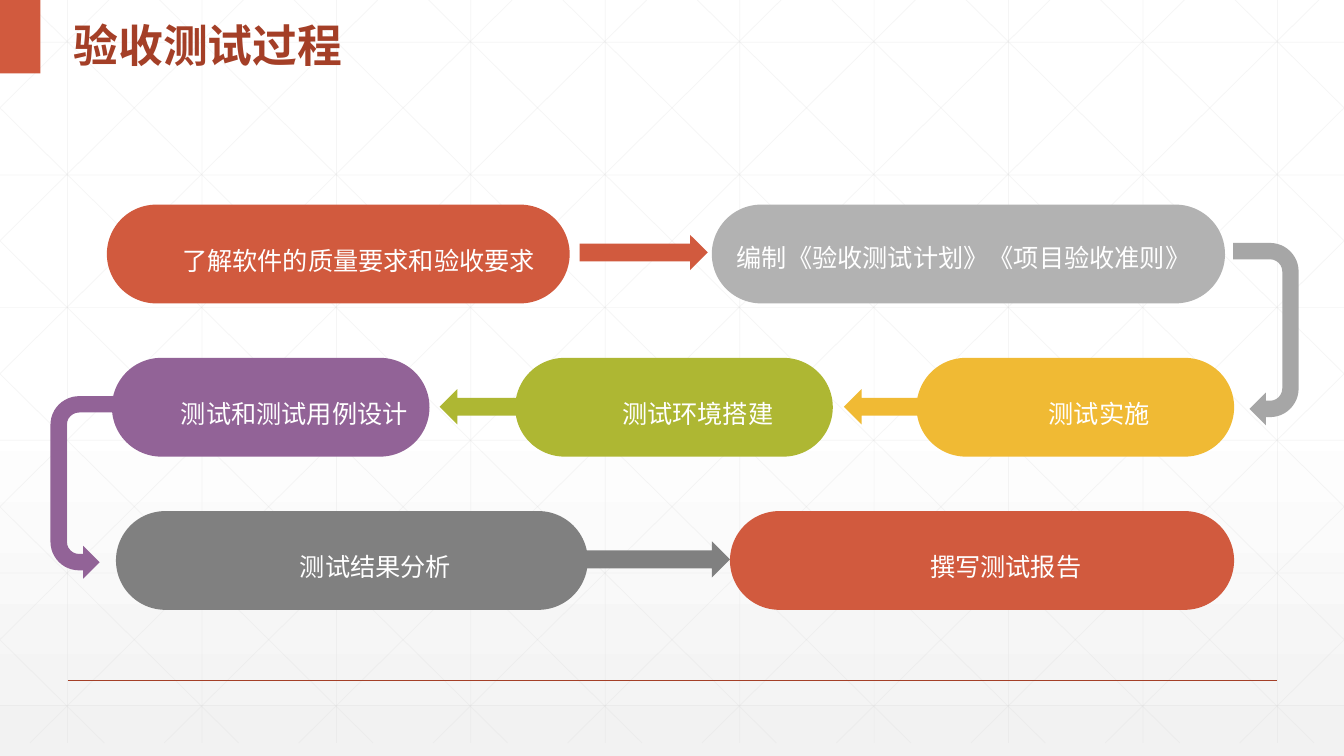
"""Builds the slide that shows the acceptance testing process as a flow of pills and arrows."""
import pptx
import pptx.util
import pptx.dml.color
import pptx.enum.shapes
import pptx.enum.text
import pptx.oxml.ns
from lxml import etree

Inches = pptx.util.Inches
Pt = pptx.util.Pt
SHAPE = pptx.enum.shapes.MSO_SHAPE
ALIGN = pptx.enum.text.PP_ALIGN
MIDDLE = pptx.enum.text.MSO_ANCHOR.MIDDLE

WIDTH, HEIGHT = 13.33, 7.5
FONT = "Arial"
RED, DARK_RED, SILVER, GREY, DARK_GREY = "D15A3E", "A43F27", "B2B2B2", "A6A6A6", "808080"
YELLOW, GREEN, PURPLE, WHITE, PALE, MESH = "F0BA34", "AEB733", "926397", "FFFFFF", "F2F2F2", "D9D9D9"

TITLE = "验收测试过程"
ROW_TOPS = (2.03, 3.55, 5.07)
PILL_HEIGHT = 0.98
STEPS = [
    ("了解软件的质量要求和验收要求", 0, 1.06, 4.59, RED, ALIGN.RIGHT, 1.4),
    ("编制《验收测试计划》《项目验收准则》", 0, 7.06, 5.09, SILVER, ALIGN.RIGHT, 1.2),
    ("测试实施", 1, 9.09, 3.15, YELLOW, ALIGN.CENTER, 1.4),
    ("测试环境搭建", 1, 5.11, 3.15, GREEN, ALIGN.CENTER, 1.4),
    ("测试和测试用例设计", 1, 1.11, 3.15, PURPLE, ALIGN.CENTER, 1.4),
    ("测试结果分析", 2, 1.15, 4.68, DARK_GREY, ALIGN.CENTER, 1.4),
    ("撰写测试报告", 2, 7.24, 5, RED, ALIGN.CENTER, 1.4),
]
ARROWS = [
    (SHAPE.RIGHT_ARROW, 5.75, 2.33, 1.27, 0.35, 0, False, RED),
    (SHAPE.U_TURN_ARROW, 11.65, 2.99, 1.81, 0.65, 90, False, GREY),
    (SHAPE.RIGHT_ARROW, 8.37, 3.86, 0.78, 0.35, 180, False, YELLOW),
    (SHAPE.RIGHT_ARROW, 4.36, 3.86, 0.78, 0.35, 180, False, GREEN),
    (SHAPE.U_TURN_ARROW, -0.08, 4.51, 1.81, 0.65, 270, True, PURPLE),
    (SHAPE.RIGHT_ARROW, 5.81, 5.37, 1.43, 0.36, 0, False, DARK_GREY),
]
MESH_BOTTOM = 7.37
MESH_STEP_X, MESH_STEP_Y = 4 / 3, 1.316
MESH_FIRST_X, MESH_FIRST_Y = 0.67, 0.42
DIAGONAL_FIRST_X, DIAGONAL_RUN = 0.25, 7.45


def color(hex_code):
    return pptx.dml.color.RGBColor.from_string(hex_code)


def add_line(slide, start, end, hex_code, weight, opacity=None):
    line = slide.shapes.add_connector(
        pptx.enum.shapes.MSO_CONNECTOR.STRAIGHT, *map(Inches, (*start, *end)))
    line.line.color.rgb = color(hex_code)
    line.line.width = Pt(weight)
    properties = line._element.spPr
    etree.SubElement(properties, pptx.oxml.ns.qn("a:effectLst"))
    if opacity:
        tint = properties.find(".//" + pptx.oxml.ns.qn("a:srgbClr"))
        etree.SubElement(tint, pptx.oxml.ns.qn("a:alpha"), val=str(opacity * 1000))


def add_block(slide, preset, left, top, width, height, hex_code):
    block = slide.shapes.add_shape(preset, *map(Inches, (left, top, width, height)))
    block.shadow.inherit = False
    block.fill.solid()
    block.fill.fore_color.rgb = color(hex_code)
    block.line.fill.background()
    return block


def write(paragraph, text, size, hex_code, spacing, bold=False):
    paragraph.line_spacing = spacing
    run = paragraph.add_run()
    run.text = text
    run.font.name = FONT
    run.font.size = Pt(size)
    run.font.bold = bold
    run.font.color.rgb = color(hex_code)


def draw_background(slide):
    fill = slide.background.fill
    fill.gradient()
    fill.gradient_angle = 270
    for stop, position, hex_code in zip(fill.gradient_stops, (0.53, 1), (WHITE, PALE)):
        stop.position = position
        stop.color.rgb = color(hex_code)


def draw_mesh(slide):
    columns = [MESH_FIRST_X + MESH_STEP_X * i for i in range(10)]
    rows = [MESH_FIRST_Y + MESH_STEP_Y * i for i in range(6)]
    lines = [((x, 0), (x, MESH_BOTTOM)) for x in columns]
    lines += [((0, y), (WIDTH, y)) for y in rows]
    slope = MESH_BOTTOM / DIAGONAL_RUN
    for i in range(-5, 10):
        origin = DIAGONAL_FIRST_X + MESH_STEP_X * i
        x1, x2 = max(origin, 0), min(origin + DIAGONAL_RUN, WIDTH)
        y1, y2 = (x1 - origin) * slope, (x2 - origin) * slope
        lines.append(((x1, y1), (x2, y2)))
        lines.append(((WIDTH - x1, y1), (WIDTH - x2, y2)))
    for start, end in lines:
        add_line(slide, start, end, MESH, 0.5, 25)


def draw_title(slide):
    add_line(slide, (0.67, 6.75), (12.67, 6.75), DARK_RED, 1)
    add_block(slide, SHAPE.RECTANGLE, 0, 0, 0.4, 0.73, RED)
    title = slide.shapes.add_textbox(*map(Inches, (0.63, 0, 5.69, 0.73))).text_frame
    title.word_wrap = True
    title.vertical_anchor = MIDDLE
    write(title.paragraphs[0], TITLE, 32, DARK_RED, 1.3, bold=True)


def draw_flow(slide):
    for preset, left, top, width, height, angle, flipped, hex_code in ARROWS:
        arrow = add_block(slide, preset, left, top, width, height, hex_code)
        arrow.rotation = angle
        if flipped:
            arrow._element.spPr.xfrm.set("flipH", "1")
    for text, row, left, width, hex_code, alignment, spacing in STEPS:
        pill = add_block(slide, SHAPE.ROUNDED_RECTANGLE, left, ROW_TOPS[row],
                         width, PILL_HEIGHT, hex_code)
        pill.adjustments[0] = 0.5
        frame = pill.text_frame
        frame.word_wrap = False
        frame.vertical_anchor = MIDDLE
        frame.margin_left = frame.margin_right = Inches(0.2)
        frame.margin_top = frame.margin_bottom = Inches(0.1)
        label = frame.paragraphs[0]
        label.alignment = alignment
        label._p.get_or_add_pPr().set("marL", str(Inches(0.47)))
        write(label, text, 18, WHITE, spacing)


def main():
    deck = pptx.Presentation()
    deck.slide_width, deck.slide_height = Inches(WIDTH), Inches(HEIGHT)
    slide = deck.slides.add_slide(deck.slide_layouts[6])
    draw_background(slide)
    draw_mesh(slide)
    draw_title(slide)
    draw_flow(slide)
    deck.save("out.pptx")


if __name__ == "__main__":
    main()
